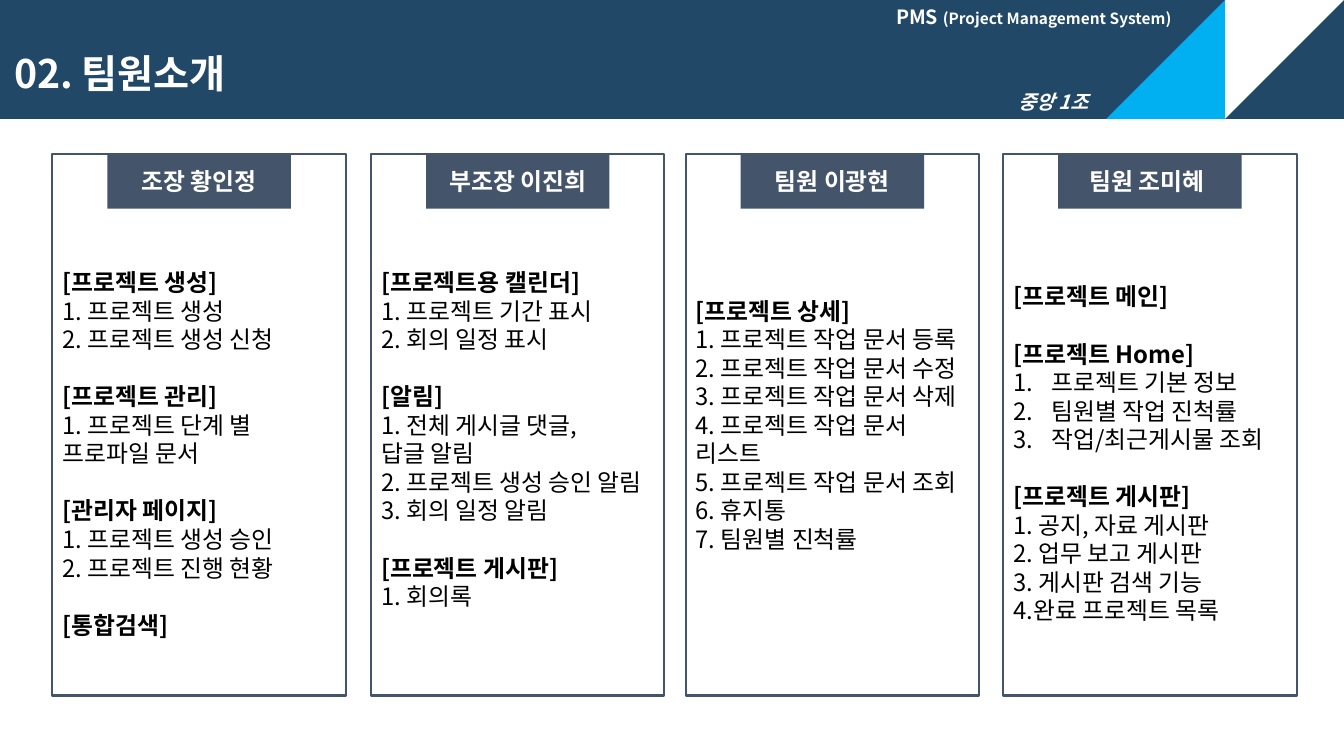
from dataclasses import dataclass

from lxml.etree import SubElement
from pptx import Presentation
from pptx.dml.color import RGBColor
from pptx.enum.shapes import MSO_SHAPE as Preset
from pptx.enum.text import MSO_ANCHOR as Anchor, MSO_AUTO_SIZE as AutoSize, PP_ALIGN as Align
from pptx.oxml.ns import qn
from pptx.shapes.autoshape import Shape
from pptx.slide import Slide
from pptx.text.text import TextFrame, _Paragraph as Paragraph, _Run as Run
from pptx.util import Inches, Pt

NAVY = RGBColor(0x21, 0x48, 0x67)
SKY = RGBColor(0x00, 0xB0, 0xF0)
SLATE = RGBColor(0x44, 0x54, 0x6A)
WHITE = RGBColor(0xFF, 0xFF, 0xFF)
BLACK = RGBColor(0x00, 0x00, 0x00)

FONT = "Noto Sans CJK KR"
BODY_SIZE = 17
LINE_RATIO = 1.2
BAND_HEIGHT = 1.18
CARD_TOP, CARD_WIDTH, CARD_HEIGHT = 1.53, 2.91, 5.37
TAG_WIDTH, TAG_HEIGHT = 1.82, 0.54
NUMBER_INDENT = 0.38


@dataclass(frozen=True)
class Section:
    heading: str
    items: tuple[str, ...] = ()
    auto_numbered: bool = False


@dataclass(frozen=True)
class Member:
    name: str
    left: float
    lead_lines: int
    sections: tuple[Section, ...]


MEMBERS = (
    Member("조장 황인정", 0.52, 2, (
        Section("[프로젝트 생성]", ("1. 프로젝트 생성", "2. 프로젝트 생성 신청")),
        Section("[프로젝트 관리]", ("1. 프로젝트 단계 별 프로파일 문서",)),
        Section("[관리자 페이지]", ("1. 프로젝트 생성 승인", "2. 프로젝트 진행 현황")),
        Section("[통합검색]"),
    )),
    Member("부조장 이진희", 3.68, 1, (
        Section("[프로젝트용 캘린더]", ("1. 프로젝트 기간 표시", "2. 회의 일정 표시")),
        Section("[알림]", ("1. 전체 게시글 댓글,", "답글 알림",
                         "2. 프로젝트 생성 승인 알림", "3. 회의 일정 알림")),
        Section("[프로젝트 게시판]", ("1. 회의록",)),
    )),
    Member("팀원 이광현", 6.8, 0, (
        Section("[프로젝트 상세]", (
            "1. 프로젝트 작업 문서 등록", "2. 프로젝트 작업 문서 수정",
            "3. 프로젝트 작업 문서 삭제", "4. 프로젝트 작업 문서 리스트",
            "5. 프로젝트 작업 문서 조회", "6. 휴지통", "7. 팀원별 진척률")),
    )),
    Member("팀원 조미혜 ", 9.95, 2, (
        Section("[프로젝트 메인]"),
        Section("[프로젝트 Home]", ("프로젝트 기본 정보", "팀원별 작업 진척률",
                                 "작업/최근게시물 조회"), auto_numbered=True),
        Section("[프로젝트 게시판]", ("1. 공지, 자료 게시판", "2. 업무 보고 게시판",
                                "3. 게시판 검색 기능", "4.완료 프로젝트 목록")),
    )),
)


def place(shape: Shape, left: float, top: float, width: float, height: float) -> None:
    shape.left, shape.top = Inches(left), Inches(top)
    shape.width, shape.height = Inches(width), Inches(height)


def add_block(slide: Slide, preset: Preset, left: float, top: float, width: float,
              height: float, color: RGBColor, rotation: float = 0) -> Shape:
    block = slide.shapes.add_shape(preset, Inches(left), Inches(top),
                                   Inches(width), Inches(height))
    block.shadow.inherit = False
    block.fill.solid()
    block.fill.fore_color.rgb = color
    block.line.fill.background()
    block.rotation = rotation
    return block


def style_run(run: Run, size: float, color: RGBColor, bold: bool, italic: bool = False) -> None:
    font = run.font
    font.size, font.bold, font.italic, font.name = Pt(size), bold, italic, FONT
    font.color.rgb = color
    SubElement(font._element, qn("a:ea"), typeface=FONT)


def style_paragraph(paragraph: Paragraph, size: float, color: RGBColor, bold: bool,
                    align: Align = Align.LEFT, italic: bool = False) -> None:
    paragraph.alignment = align
    paragraph.line_spacing = Pt(size * LINE_RATIO)
    paragraph.space_before = paragraph.space_after = Pt(0)
    for run in paragraph.runs:
        style_run(run, size, color, bold, italic)


def set_marker(paragraph: Paragraph, auto_numbered: bool) -> None:
    """Number the paragraph with a hanging indent, or clear the inherited bullet."""
    properties = paragraph._p.get_or_add_pPr()
    indent = Inches(NUMBER_INDENT) if auto_numbered else 0
    properties.set("marL", str(indent))
    properties.set("indent", str(-indent))
    if auto_numbered:
        SubElement(properties, qn("a:buFont"), typeface="+mj-lt")
        SubElement(properties, qn("a:buAutoNum"), type="arabicPeriod")
    else:
        SubElement(properties, qn("a:buNone"))


def prepare_frame(frame: TextFrame, anchor: Anchor) -> None:
    frame.word_wrap = True
    frame.auto_size = AutoSize.NONE
    frame.vertical_anchor = anchor
    frame.margin_left = frame.margin_right = Inches(0.1)
    frame.margin_top = frame.margin_bottom = Inches(0.05)


def add_label(slide: Slide, text: str, left: float, top: float, width: float,
              anchor: Anchor, italic: bool = False) -> Paragraph:
    label = slide.shapes.add_textbox(Inches(left), Inches(top), Inches(width), Inches(0.34))
    prepare_frame(label.text_frame, anchor)
    label.text_frame.text = text
    paragraph = label.text_frame.paragraphs[0]
    style_paragraph(paragraph, 14, WHITE, True, italic=italic)
    return paragraph


def draw_header(slide: Slide) -> None:
    band = add_block(slide, Preset.RECTANGLE, 0, 0, 13.33, BAND_HEIGHT, NAVY)
    for left, color, rotation in ((12.15, WHITE, 90), (10.97, SKY, 270)):
        add_block(slide, Preset.RIGHT_TRIANGLE, left, 0, BAND_HEIGHT, BAND_HEIGHT,
                  color, rotation)
    add_label(slide, "중앙 1조", 10, 0.84, 1.2, Anchor.TOP, italic=True)
    system = add_label(slide, "PMS ", 8.79, 0, 3.03, Anchor.MIDDLE)
    full_name = system.add_run()
    full_name.text = "(Project Management System)"
    style_run(full_name, 11, WHITE, True)

    title = slide.shapes.title
    title.element.addprevious(band.element)
    place(title, 0.04, 0.39, 8.53, 0.73)
    prepare_frame(title.text_frame, Anchor.MIDDLE)
    title.text_frame.text = "02. 팀원소개"
    heading = title.text_frame.paragraphs[0]
    style_paragraph(heading, 28, WHITE, True)
    heading.line_spacing = 0.9


def draw_member(slide: Slide, card: Shape, member: Member) -> None:
    place(card, member.left, CARD_TOP, CARD_WIDTH, CARD_HEIGHT)
    card.fill.solid()
    card.fill.fore_color.rgb = WHITE
    card.line.color.rgb = SLATE
    card.line.width = Pt(1.5)

    duties = card.text_frame
    prepare_frame(duties, Anchor.MIDDLE)
    line_height = Pt(BODY_SIZE * LINE_RATIO)
    duties.margin_top = Inches(0.05) + member.lead_lines * line_height
    duties.text = "\n".join(line for section in member.sections
                            for line in (section.heading, *section.items))
    paragraphs = iter(duties.paragraphs)
    for section_index, section in enumerate(member.sections):
        for line_index in range(1 + len(section.items)):
            paragraph = next(paragraphs)
            is_heading = line_index == 0
            set_marker(paragraph, section.auto_numbered and not is_heading)
            style_paragraph(paragraph, BODY_SIZE, BLACK, is_heading)
            if is_heading and section_index:
                paragraph.space_before = line_height

    tag_left = member.left + (CARD_WIDTH - TAG_WIDTH) / 2
    tag = add_block(slide, Preset.RECTANGLE, tag_left, CARD_TOP, TAG_WIDTH, TAG_HEIGHT, SLATE)
    prepare_frame(tag.text_frame, Anchor.MIDDLE)
    tag.text_frame.text = member.name
    style_paragraph(tag.text_frame.paragraphs[0], BODY_SIZE, WHITE, True, Align.CENTER)


def main() -> None:
    deck = Presentation()
    deck.slide_width, deck.slide_height = Inches(13.33), Inches(7.5)
    comparison_layout = deck.slide_layouts[4]
    slide = deck.slides.add_slide(comparison_layout)
    cards = list(slide.placeholders)[1:]
    draw_header(slide)
    for card, member in zip(cards, MEMBERS):
        draw_member(slide, card, member)
    deck.save("out.pptx")


if __name__ == "__main__":
    main()
